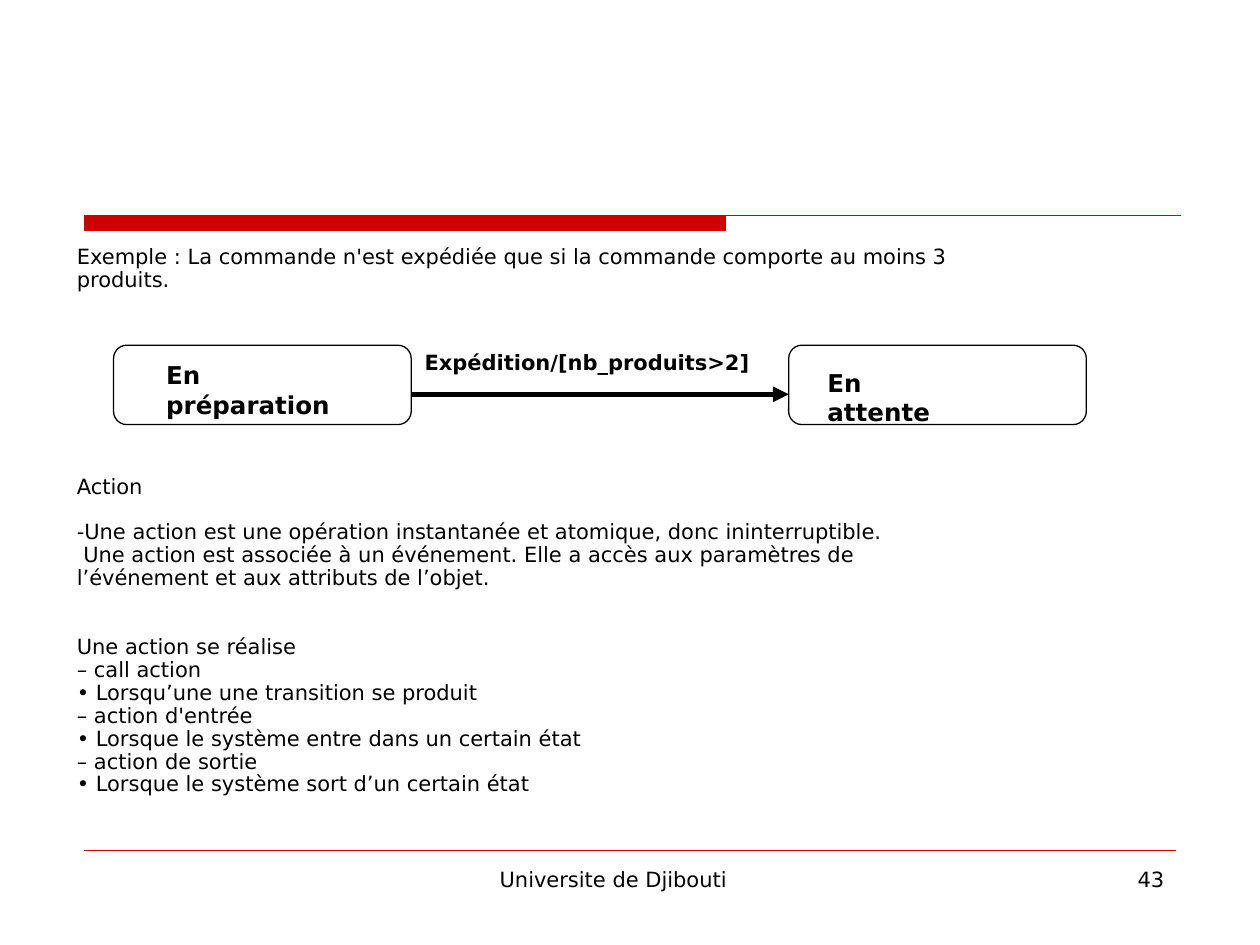
from dataclasses import dataclass

from lxml import etree
from pptx import Presentation
from pptx.dml.color import RGBColor
from pptx.enum.shapes import MSO_CONNECTOR, MSO_SHAPE
from pptx.enum.text import PP_ALIGN
from pptx.oxml.ns import qn
from pptx.util import Cm, Pt

STRAIGHT = MSO_CONNECTOR.STRAIGHT
ROUNDED = MSO_SHAPE.ROUNDED_RECTANGLE
LEFT, CENTER, RIGHT = PP_ALIGN.LEFT, PP_ALIGN.CENTER, PP_ALIGN.RIGHT
FONT = "DejaVu Sans"
BLACK, WHITE, RED = "000000", "FFFFFF", "CC0000"
BODY_GAP = 3  # points before a body line
BLANK_LINE = 13.1  # points taken by a skipped body line


@dataclass
class Label:
    text: str
    left: float
    top: float
    width: float
    height: float
    size: int = 12
    bold: bool = False
    align: PP_ALIGN = LEFT
    right_inset: float = 0.25


@dataclass
class BodyLine:
    text: str
    skipped: int = 0  # empty lines above
    indent: float = 0


@dataclass
class State:
    left: float
    label: Label


BODY = [
    BodyLine("Exemple : La commande n'est expédiée que si la commande comporte au moins 3"),
    BodyLine("produits."),
    BodyLine("Action", skipped=8),
    BodyLine("-Une action est une opération instantanée et atomique, donc ininterruptible.", skipped=1),
    BodyLine("Une action est associée à un événement. Elle a accès aux paramètres de", indent=0.13),
    BodyLine("l’événement et aux attributs de l’objet."),
    BodyLine("Une action se réalise", skipped=2),
    BodyLine("– call action"),
    BodyLine("• Lorsqu’une une transition se produit"),
    BodyLine("– action d'entrée"),
    BodyLine("• Lorsque le système entre dans un certain état"),
    BodyLine("– action de sortie"),
    BodyLine("• Lorsque le système sort d’un certain état"),
]
STATE_TOP, STATE_WIDTH, STATE_HEIGHT = 6.96, 6, 1.6
PREPARATION = State(2.29, Label("En préparation", 3.1, 7.14, 4.19, 1.45, 14, True))
WAITING = State(15.9, Label("En attente", 16.43, 7.29, 3.1, 1.45, 14, True))
TRANSITION = Label("Expédition/[nb_produits>2]", 8.31, 6.93, 7.39, 1.27, bold=True)
FOOTER = [
    Label("Universite de Djibouti", 8.69, 17.35, 8.05, 1.32, align=CENTER, right_inset=0.95),
    Label("43", 18.21, 17.35, 5.51, 1.32, align=RIGHT),
]


def color(value: str) -> RGBColor:
    return RGBColor.from_string(value)


def add_run(paragraph, text: str, size: int = 12, bold: bool = False) -> None:
    run = paragraph.add_run()
    run.text = text
    run.font.name = FONT
    run.font.size = Pt(size)
    run.font.bold = bold
    run.font.color.rgb = color(BLACK)


def add_frame(slide, left: float, top: float, width: float, height: float):
    frame = slide.shapes.add_textbox(Cm(left), Cm(top), Cm(width), Cm(height)).text_frame
    frame.word_wrap = True
    return frame


def add_label(slide, label: Label) -> None:
    frame = add_frame(slide, label.left, label.top, label.width, label.height)
    frame.margin_right = Cm(label.right_inset)
    paragraph = frame.paragraphs[0]
    paragraph.alignment = label.align
    add_run(paragraph, label.text, label.size, label.bold)


def add_body(slide, lines: list[BodyLine]) -> None:
    frame = add_frame(slide, 1.3, 4.93, 22.23, 11.86)
    for index, line in enumerate(lines):
        paragraph = frame.add_paragraph() if index else frame.paragraphs[0]
        paragraph.line_spacing = 0.7
        if index:
            paragraph.space_before = Pt(BODY_GAP + line.skipped * BLANK_LINE)
        if line.indent:
            paragraph._p.get_or_add_pPr().set("marL", str(Cm(line.indent)))
        add_run(paragraph, line.text)


def add_state(slide, state: State) -> None:
    box = slide.shapes.add_shape(
        ROUNDED, Cm(state.left), Cm(STATE_TOP), Cm(STATE_WIDTH), Cm(STATE_HEIGHT))
    box.shadow.inherit = False
    box.fill.solid()
    box.fill.fore_color.rgb = color(WHITE)
    box.line.color.rgb = color(BLACK)
    box.line.width = Pt(0.75)


def add_line(slide, start: float, end: float, y: float, line_color: str,
             width: float, arrow: bool = False) -> None:
    connector = slide.shapes.add_connector(STRAIGHT, Cm(start), Cm(y), Cm(end), Cm(y))
    connector.line.color.rgb = color(line_color)
    connector.line.width = Pt(width)
    if arrow:
        etree.SubElement(connector.line._get_or_add_ln(), qn("a:tailEnd"), type="triangle")
    etree.SubElement(connector._element.spPr, qn("a:effectLst"))


def add_header_rule(slide) -> None:
    left, bar_end, right, top, bottom = (Cm(v) for v in (1.7, 14.63, 23.8, 4.34, 4.65))
    builder = slide.shapes.build_freeform(left, top)
    builder.add_line_segments([(bar_end, top), (bar_end, bottom), (left, bottom)], close=True)
    builder.move_to(left, top)
    builder.add_line_segments([(right, top)], close=False)
    rule = builder.convert_to_shape()
    rule.shadow.inherit = False
    rule.fill.solid()
    rule.fill.fore_color.rgb = color(RED)
    rule.line.color.rgb = color(RED)
    rule.line.width = Pt(0.75)


def main() -> None:
    deck = Presentation()
    deck.slide_width, deck.slide_height = Cm(25.4), Cm(19.05)
    slide = deck.slides.add_slide(deck.slide_layouts[6])

    # Header and footer rules
    add_header_rule(slide)
    add_line(slide, 1.7, 23.7, 17.15, RED, 0.25)

    # Explanations
    add_body(slide, BODY)

    # State diagram
    for state in (PREPARATION, WAITING):
        add_state(slide, state)
    for label in (TRANSITION, PREPARATION.label, WAITING.label):
        add_label(slide, label)
    add_line(slide, PREPARATION.left + STATE_WIDTH, WAITING.left, 7.95, BLACK, 3, arrow=True)

    # Footer
    for label in FOOTER:
        add_label(slide, label)

    deck.save("out.pptx")


if __name__ == "__main__":
    main()
